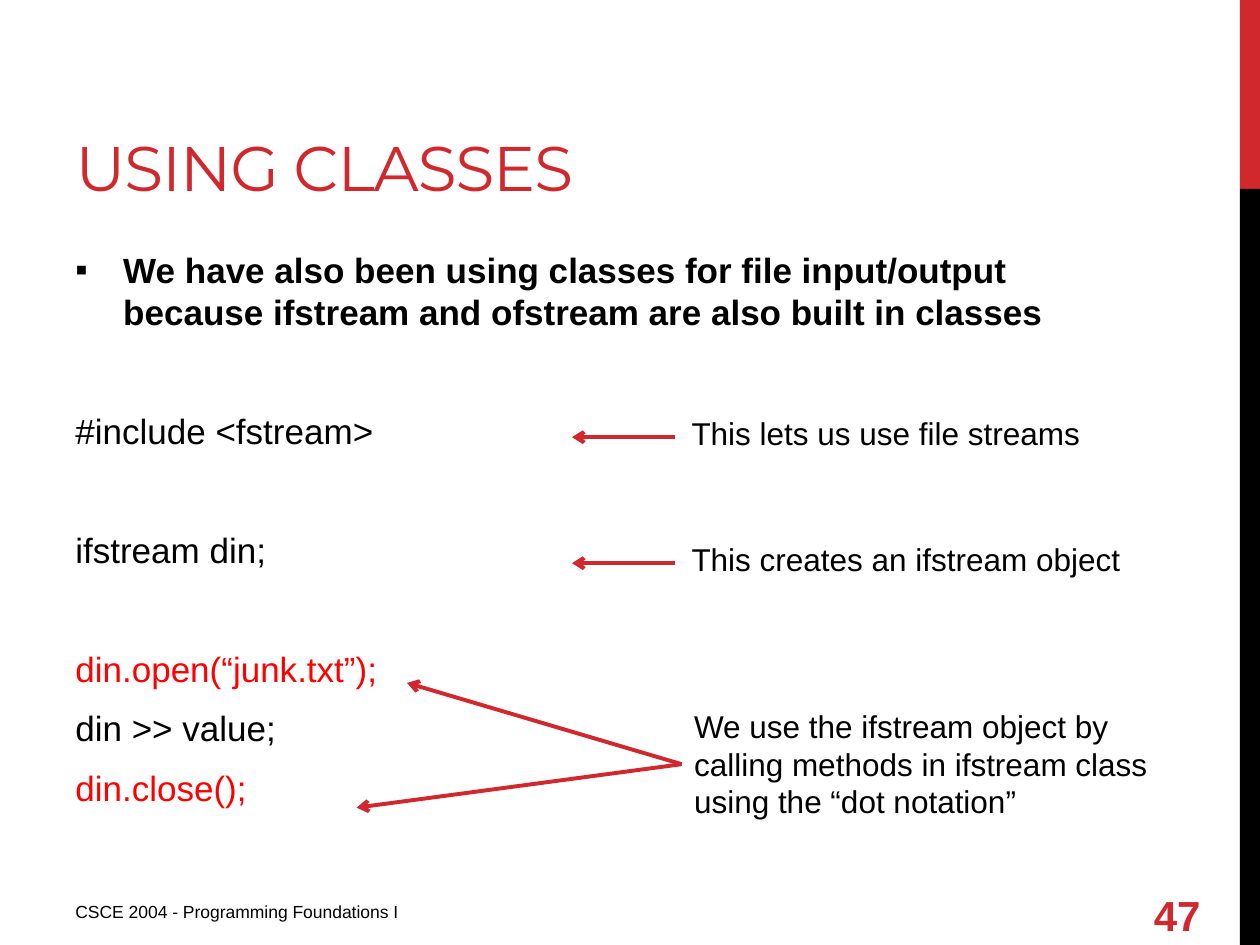
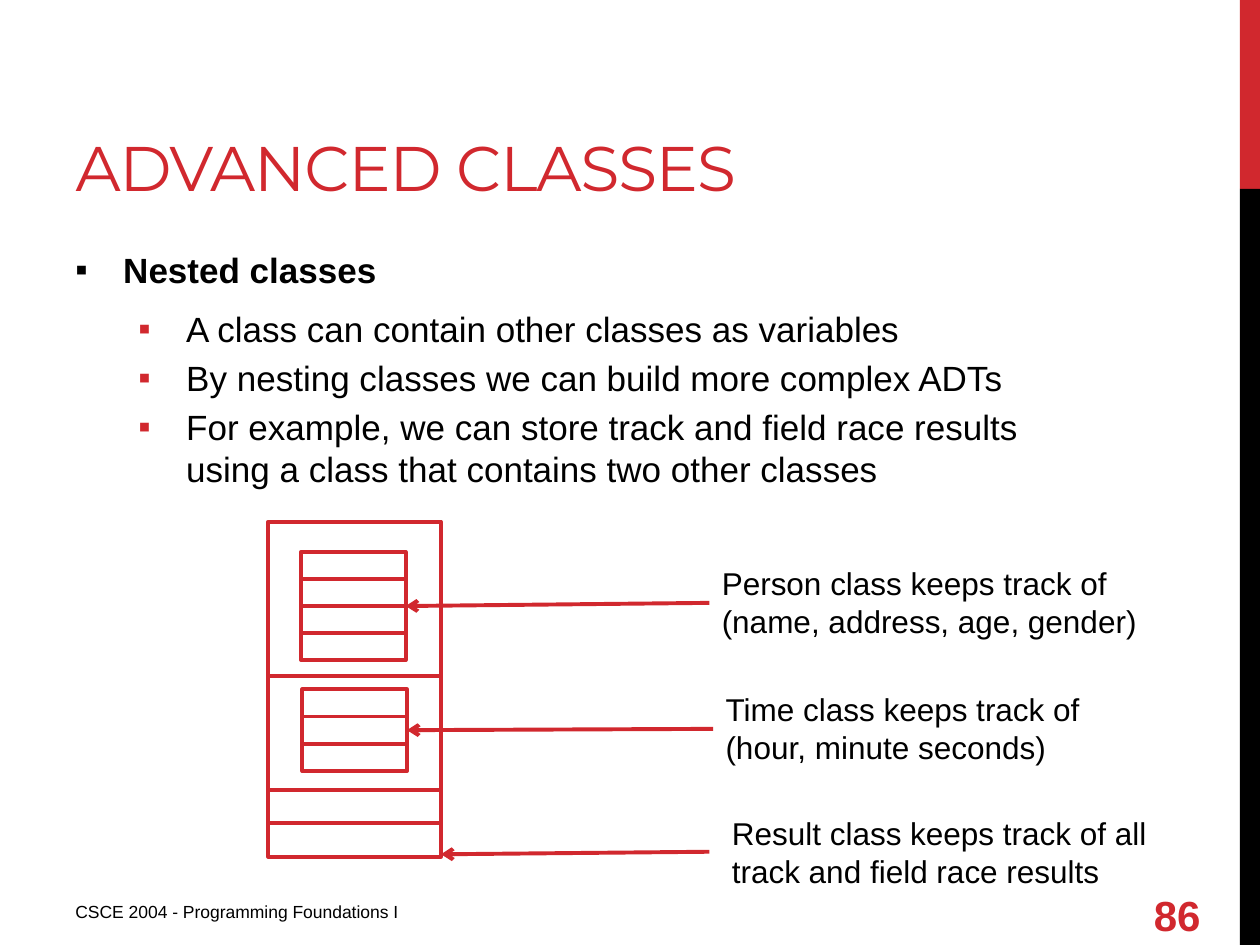
import pptx
import pptx.util
import pptx.dml.color
import pptx.enum.shapes
import pptx.enum.text
import pptx.oxml
import pptx.oxml.ns
import lxml.etree

COLUMNS, ROWS = 100, 75
COLORS = {"accent": "D1282E", "text": "000000", "method": "FF0000"}
FOOTER = "CSCE 2004 - Programming Foundations I"
ANCHOR = pptx.enum.text.MSO_ANCHOR


def color(name):
    return pptx.dml.color.RGBColor.from_string(COLORS[name])


def add_xml(parent, tag, **attributes):
    return lxml.etree.SubElement(parent, pptx.oxml.ns.qn(tag), attributes)


class Deck:
    """Hold the presentation, its shared style and the current slide."""

    def __init__(self):
        self.presentation = pptx.Presentation()
        self.presentation.slide_width = pptx.util.Inches(10)
        self.presentation.slide_height = pptx.util.Inches(7.5)
        self.slide = None

    def x(self, columns):
        return round(self.presentation.slide_width * columns / COLUMNS)

    def y(self, rows):
        return round(self.presentation.slide_height * rows / ROWS)

    def area(self, left, top, width, height):
        return self.x(left), self.y(top), self.x(width), self.y(height)

    def style(self, paragraph, size, name="text", bold=False, font="Arial"):
        paragraph.font.size = pptx.util.Pt(size)
        paragraph.font.name = font
        paragraph.font.bold = bold
        paragraph.font.color.rgb = color(name)

    def new_slide(self, title, number):
        self.slide = self.presentation.slides.add_slide(self.presentation.slide_layouts[5])
        self.band(0, 15, "accent")
        self.band(15, 60, "text")
        self.title(title)
        self.text(FOOTER, (5, 71, 37.5, 3.1), 10)
        self.text(str(number), (90.6, 70.6, 7.4, 4), 24, "accent", True, ANCHOR.MIDDLE)

    def title(self, text):
        shape = self.slide.shapes.title
        shape.left, shape.top, shape.width, shape.height = self.area(5, 1.7, 63.3, 15)
        frame = shape.text_frame
        frame.text = text
        frame.auto_size = pptx.enum.text.MSO_AUTO_SIZE.NONE
        frame.vertical_anchor = ANCHOR.BOTTOM
        paragraph = frame.paragraphs[0]
        paragraph.alignment = pptx.enum.text.PP_ALIGN.LEFT
        self.style(paragraph, 36, "accent", font="Montserrat")
        paragraph.runs[0]._r.get_or_add_rPr().set("spc", "-60")

    def rectangle(self, area):
        kind = pptx.enum.shapes.MSO_SHAPE.RECTANGLE
        shape = self.slide.shapes.add_shape(kind, *self.area(*area))
        shape.shadow.inherit = False
        return shape

    def band(self, top, height, name):
        shape = self.rectangle((98.4, top, 1.6, height))
        shape.fill.solid()
        shape.fill.fore_color.rgb = color(name)
        shape.line.fill.background()

    def text_box(self, area):
        shape = self.slide.shapes.add_textbox(*self.area(*area))
        shape.text_frame.word_wrap = True
        return shape

    def text(self, text, area, size=18, name="text", bold=False, anchor=ANCHOR.TOP):
        shape = self.text_box(area)
        shape.text_frame.text = text
        shape.text_frame.vertical_anchor = anchor
        self.style(shape.text_frame.paragraphs[0], size, name, bold)
        return shape

    def body(self, heading, points=(), code=()):
        frame = self.text_box((5, 19.2, 83.3, 47.8)).text_frame
        paragraph = frame.paragraphs[0]
        self.paragraph(paragraph, heading, bold=True)
        self.bullet(paragraph, 0.38, "text")
        for point in points:
            paragraph = frame.add_paragraph()
            self.paragraph(paragraph, point, after=0)
            self.bullet(paragraph, 0.88, "accent")
        for line, name, before in code:
            self.paragraph(frame.add_paragraph(), line, name, before=before)

    def paragraph(self, paragraph, text, name="text", bold=False, before=4, after=6):
        paragraph.text = text
        paragraph.space_before = pptx.util.Pt(before)
        paragraph.space_after = pptx.util.Pt(after)
        self.style(paragraph, 20, name, bold)

    def bullet(self, paragraph, margin, name):
        properties = paragraph._p.get_or_add_pPr()
        properties.set("marL", str(pptx.util.Inches(margin)))
        properties.set("indent", str(pptx.util.Inches(-0.38)))
        default_run = properties.find(pptx.oxml.ns.qn("a:defRPr"))
        bullet_color = add_xml(properties, "a:buClr")
        add_xml(bullet_color, "a:srgbClr", val=COLORS[name])
        add_xml(properties, "a:buFont", typeface="Arial")
        add_xml(properties, "a:buChar", char="▪")
        if default_run is not None:
            properties.append(default_run)

    def outline(self, shape):
        shape.line.color.rgb = color("accent")
        shape.line.width = pptx.util.Pt(2.25)

    def line(self, start, end, start_joint=None, end_joint=None, arrow=False):
        connector = self.slide.shapes.add_connector(
            pptx.enum.shapes.MSO_CONNECTOR.STRAIGHT,
            self.x(start[0]), self.y(start[1]), self.x(end[0]), self.y(end[1]))
        if start_joint:
            connector.begin_connect(*start_joint)
        if end_joint:
            connector.end_connect(*end_joint)
        self.outline(connector)
        if arrow:
            add_xml(connector.line._get_or_add_ln(), "a:tailEnd", type="arrow")
        add_xml(connector._element.spPr, "a:effectLst")

    def class_box(self, area, dividers):
        left, top, width, height = area
        shape = self.rectangle(area)
        shape.fill.background()
        self.outline(shape)
        for share in dividers:
            row = top + height * share
            joints = ((shape, 1), (shape, 3)) if share == 0.5 else ()
            self.line((left, row), (left + width, row), *joints)
        return shape


def using_classes(deck):
    deck.new_slide("USING CLASSES", 47)
    deck.body(
        "We have also been using classes for file input/output "
        "because ifstream and ofstream are also built in classes",
        code=[("#include <fstream>", "text", 38),
              ("ifstream din;", "text", 38),
              ("din.open(“junk.txt”);", "method", 38),
              ("din >> value;", "text", 4),
              ("din.close();", "method", 4)])
    notes = ["This lets us use file streams", "This creates an ifstream object"]
    for index, note in enumerate(notes):
        top = 32.4 + 10 * index
        deck.text(note, (53.9, top, 38.3, 4))
        deck.line((53.6, top + 2.3), (45.4, top + 2.3), arrow=True)
    methods = deck.text(
        "We use the ifstream object by calling methods in ifstream class "
        "using the “dot notation”", (54.1, 55.6, 38.1, 10.1))
    for end in [(28.3, 64.1), (32.3, 54.2)]:
        deck.line((54.1, 60.6), end, (methods, 1), arrow=True)


def advanced_classes(deck):
    deck.new_slide("ADVANCED CLASSES", 86)
    deck.body("Nested classes", points=[
        "A class can contain other classes as variables",
        "By nesting classes we can build more complex ADTs",
        "For example, we can store track and field race results "
        "using a class that contains two other classes"])
    person = deck.class_box((23.9, 43.8, 8.3, 8.6), [1 / 4, 2 / 4, 3 / 4])
    time = deck.class_box((24, 54.7, 8.3, 6.5), [1 / 3, 2 / 3])
    deck.class_box((21.3, 41.4, 13.7, 26.6), [0.46, 0.8, 0.9])
    members = [
        (person, "Person class keeps track of (name, address, age, gender)", (56.3, 44.3, 35.8, 7.1)),
        (time, "Time class keeps track of (hour, minute seconds)", (56.6, 54.3, 36.2, 7.1))]
    for box, note, area in members:
        label = deck.text(note, area)
        deck.line(area[:2], (32.2, area[1]), (label, 1), (box, 3), arrow=True)
    deck.text("Result class keeps track of all track and field race results",
              (57.1, 64.1, 38.1, 7.1))
    deck.line((56.3, 67.6), (35, 67.8), arrow=True)


def main():
    deck = Deck()
    using_classes(deck)
    advanced_classes(deck)
    deck.presentation.save("out.pptx")


if __name__ == "__main__":
    main()
